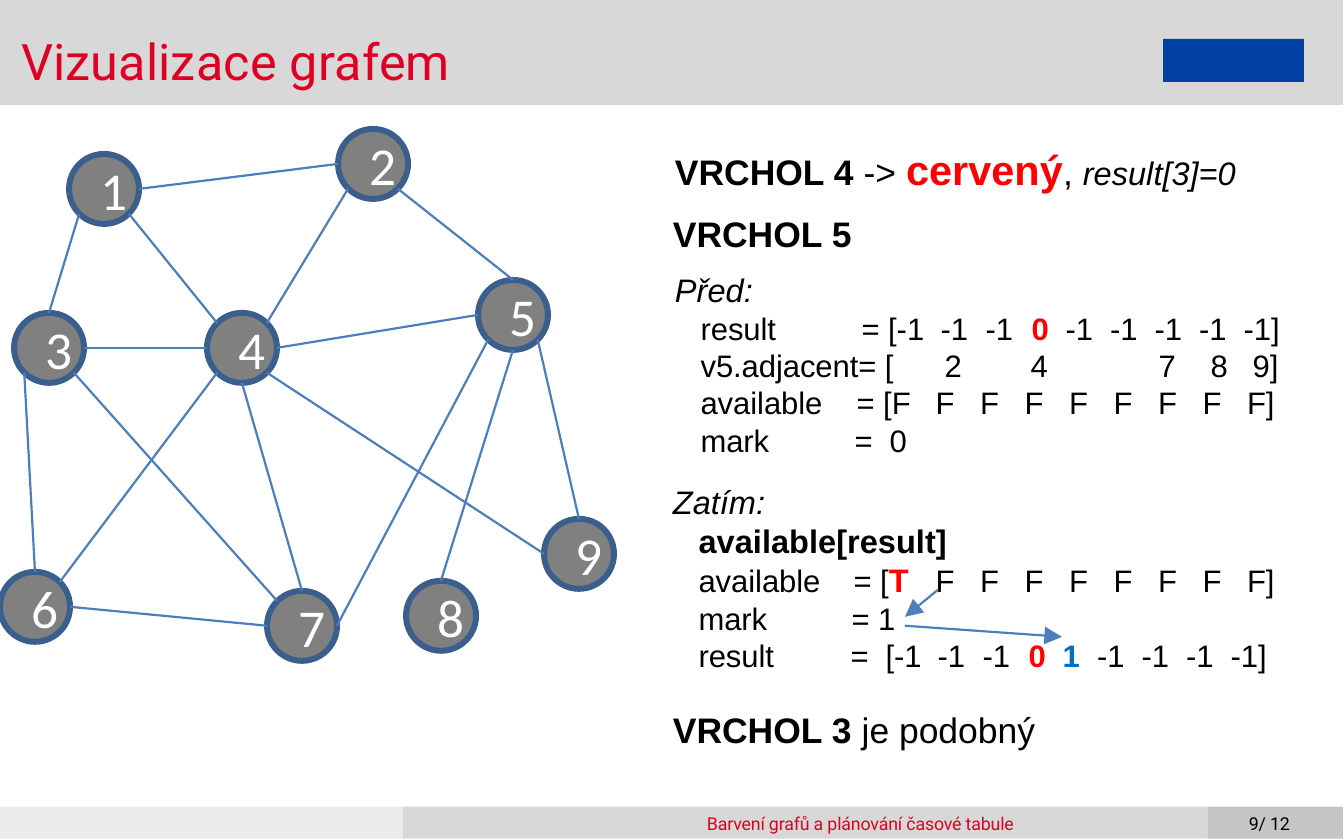
import math
import pptx
import pptx.util
import pptx.dml.color
import pptx.enum.shapes
import pptx.enum.text
import pptx.oxml.ns
import lxml.etree

RGB = pptx.dml.color.RGBColor
RED, BLUE = RGB(0xFF, 0, 0), RGB(0, 0x70, 0xC0)
BLACK, WHITE = RGB(0, 0, 0), RGB(0xFF, 0xFF, 0xFF)
CRIMSON, NAVY = RGB(0xDE, 0, 0x24), RGB(0, 0x40, 0xA5)
PALE, LIGHT, MID = RGB(0xEB, 0xEB, 0xEB), RGB(0xD8, 0xD8, 0xD8), RGB(0xC5, 0xC5, 0xC5)
GRAY, RIM, EDGE = RGB(0x80, 0x80, 0x80), RGB(0x3A, 0x5F, 0x8C), RGB(0x4B, 0x7E, 0xBC)

# Content: bands and badge as left, top, width, height, colour
BANDS = [(0, 0, 1343, 105, LIGHT), (1163, 39, 141, 43, NAVY),
         (0, 807, 403, 32, PALE), (403, 807, 805, 32, LIGHT),
         (1208, 807, 135, 32, MID)]

# Graph: node centres, and edges with the compass side at each end
RADIUS = 35
NODES = {1: (104, 189), 2: (373, 164), 3: (49, 348), 4: (242, 348), 5: (513, 315),
         6: (35, 607), 7: (302, 626), 8: (441, 616), 9: (579, 554)}
EDGES = ["1E 2W", "1SW 3N", "3E 4W", "1SE 4NW", "2SW 4NE", "2SE 5N", "4E 5W", "8N 5S",
         "9N 5SE", "6N 3SW", "6E 7W", "3SE 7NW", "4S 7N", "4SW 6NE", "5SW 7E", "4SE 9W"]
SIDES = ["E", "SE", "S", "SW", "W", "NW", "N", "NE"]
ARROWS = [(938, 590, 905, 617), (905, 626, 1062, 637)]

# Text: each line is (tab stops, runs); each run is (text, format)
HEAD = dict(size=12, bold=True)
NOTE = dict(size=11, italic=True)
CODE = dict(size=10.5)
HOT = dict(size=10.5, bold=True, color=RED)
FLAGS = [936 + 44.5 * i for i in range(8)]
TAIL = [1066 + 44.5 * i for i in range(5)]
BOXES = [
    (654, 134, 675, 72, [([], [("VRCHOL 4 ", HEAD), ("-> ", dict(size=12)),
                               ("cervený", dict(size=14, bold=True, color=RED)),
                               (", ", dict(size=12)), ("result[3]=0", NOTE)])]),
    (652, 202, 658, 64, [([], [("VRCHOL 5", HEAD)])]),
    (654, 260, 658, 213, [
        ([], [("Před:", NOTE)]),
        ([701, 862, 941, 986, 1032] + TAIL,
         [("\tresult\t= [-1\t-1\t-1\t", CODE), ("0", HOT), ("\t-1" * 5 + "]", CODE)]),
        ([701, 945, 1031, 1159, 1211, 1253],
         [("\tv5.adjacent= [\t2\t4\t7\t8\t9]", CODE)]),
        ([701, 857] + FLAGS, [("\tavailable\t= [F" + "\tF" * 8 + "]", CODE)]),
        ([701, 855, 890], [("\tmark\t=\t0", CODE)])]),
    (652, 472, 658, 217, [
        ([], [("Zatím:", NOTE)]),
        ([699], [("\tavailable[result]", dict(size=11, bold=True))]),
        ([699, 854] + FLAGS, [("\tavailable\t= [", CODE),
                              ("T", dict(size=11, bold=True, color=RED)),
                              ("\tF" * 8 + "]", CODE)]),
        ([699, 852], [("\tmark\t= 1", CODE)]),
        ([699, 851, 886, 938, 983, 1029, 1063] + [x - 13 for x in TAIL[1:]],
         [("\tresult\t=\t[-1\t-1\t-1\t", CODE), ("0", HOT),
          ("\t1", dict(size=10.5, bold=True, color=BLUE)), ("\t-1" * 4 + "]", CODE)])]),
    (652, 698, 658, 64, [([], [("VRCHOL 3 ", HEAD), ("je podobný", dict(size=12))])]),
]
FOOT = [(1240, 807, 60, 28, 9, "9/ 12", BLACK),
        (705, 807, 322, 28, 2, "Barvení grafů a plánování časové tabule", CRIMSON)]
INSET = 21.3


def px(n):
    return pptx.util.Emu(round(n * 914400 / 213))


def add(top, tag, **attrs):
    return lxml.etree.SubElement(top, pptx.oxml.ns.qn(tag), attrs)


def put(para, text, size=12, font="Arial", color=BLACK, bold=False, italic=False, track=0):
    run = para.add_run()
    run.text = text
    face = run.font
    face.size, face.name = pptx.util.Pt(size), font
    face.bold, face.italic = bold, italic
    face.color.rgb = color
    if track:
        run._r.get_or_add_rPr().set("spc", str(track))


def frame(shape, left=INSET, top=10.65, right=INSET, low=10.65):
    body = shape.text_frame
    body.word_wrap = True
    body.auto_size = pptx.enum.text.MSO_AUTO_SIZE.NONE
    body.vertical_anchor = pptx.enum.text.MSO_ANCHOR.TOP
    body.margin_left, body.margin_top = px(left), px(top)
    body.margin_right, body.margin_bottom = px(right), px(low)
    return body


def shape(kind, left, top, width, height, fill):
    item = slide.shapes.add_shape(kind, px(left), px(top), px(width), px(height))
    item.shadow.inherit = False
    item.fill.solid()
    item.fill.fore_color.rgb = fill
    item.line.fill.background()
    return item


def link(ax, ay, bx, by, arrow=False):
    line = slide.shapes.add_connector(KINDS.STRAIGHT, px(ax), px(ay), px(bx), px(by))
    line.line.color.rgb = EDGE
    line.line.width = pptx.util.Pt(0.75)
    props = line.element.spPr
    if arrow:
        add(props.find(pptx.oxml.ns.qn("a:ln")), "a:tailEnd", type="triangle")
    add(props, "a:effectLst")


def site(end):
    x, y = NODES[int(end[0])]
    turn = SIDES.index(end[1:]) * math.pi / 4
    return x + RADIUS * math.cos(turn), y + RADIUS * math.sin(turn)


SHAPES = pptx.enum.shapes.MSO_SHAPE
KINDS = pptx.enum.shapes.MSO_CONNECTOR
deck = pptx.Presentation()
deck.slide_width, deck.slide_height = pptx.util.Inches(6.31), pptx.util.Inches(3.94)
slide = deck.slides.add_slide(deck.slide_layouts[5])

# Bands, kept behind the title
title = slide.shapes.title
for *place, fill in BANDS:
    title.element.addprevious(shape(SHAPES.RECTANGLE, *place, fill).element)

# Title
title.left, title.top, title.width, title.height = px(19), px(26), px(458), px(64)
para = frame(title, 2, 4, 0, 0).paragraphs[0]
para.alignment = pptx.enum.text.PP_ALIGN.LEFT
para.space_before = pptx.util.Pt(1.2)
put(para, "Vizualizace grafem", size=17, font="Roboto", color=CRIMSON, track=5)

# Graph nodes
for name, (x, y) in NODES.items():
    node = shape(SHAPES.OVAL, x - RADIUS, y - RADIUS, 2 * RADIUS, 2 * RADIUS, GRAY)
    node.line.color.rgb = RIM
    node.line.width = pptx.util.Pt(2)
    para = node.text_frame.paragraphs[0]
    para.alignment = pptx.enum.text.PP_ALIGN.CENTER
    put(para, str(name), size=18, font="Calibri", color=WHITE)

# Graph edges
for edge in EDGES:
    start, end = edge.split()
    link(*site(start), *site(end))

# Steps of the algorithm
for left, top, width, height, lines in BOXES:
    box = slide.shapes.add_textbox(px(left), px(top), px(width), px(height))
    body = frame(box)
    for i, (stops, runs) in enumerate(lines):
        para = body.add_paragraph() if i else body.paragraphs[0]
        for text, style in runs:
            put(para, text, **style)
        if stops:
            tabs = add(para._p.get_or_add_pPr(), "a:tabLst")
            for stop in stops:
                add(tabs, "a:tab", pos=str(px(stop - left - INSET)), algn="l")

# Arrows between the steps
for ends in ARROWS:
    link(*ends, arrow=True)

# Footer
for left, top, width, height, inset, text, color in FOOT:
    box = slide.shapes.add_textbox(px(left), px(top), px(width), px(height))
    para = frame(box, inset, 6, 0, 0).paragraphs[0]
    para.space_before = pptx.util.Pt(1.9)
    put(para, text, size=6, font="Roboto", color=color, track=-5)

deck.save("out.pptx")
